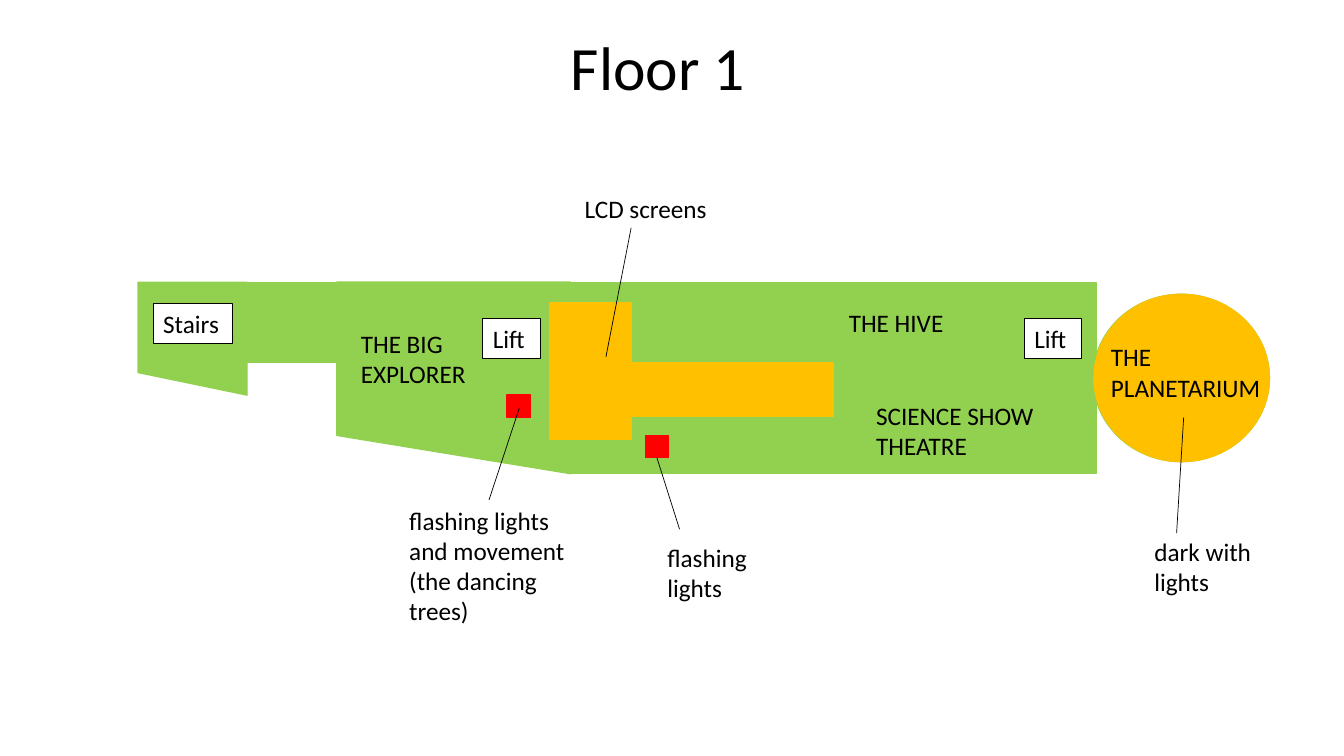
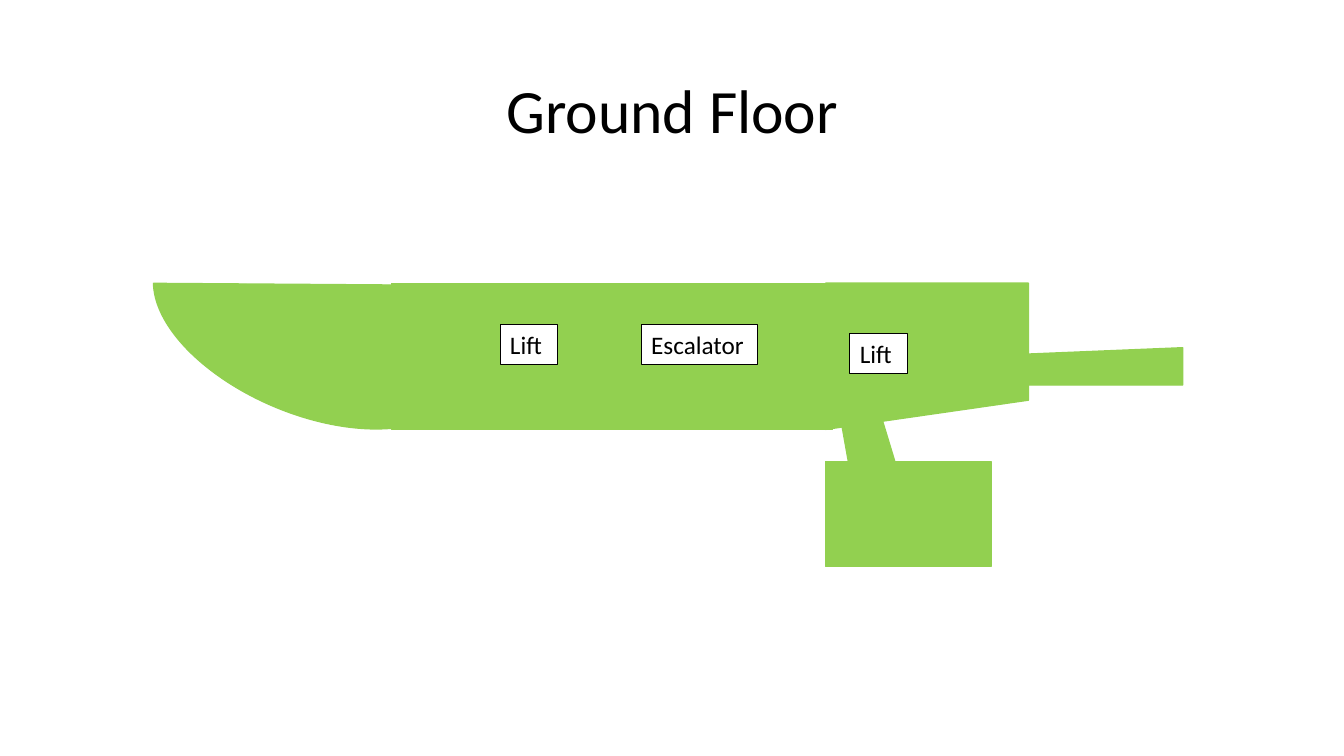
import pptx
import pptx.util
import pptx.dml.color
import pptx.enum.shapes
import pptx.enum.text
import pptx.oxml.ns
import lxml.etree

COLOURS = {
    "floor": "92D050",
    "exhibit": "FFC000",
    "alert": "FF0000",
    "paper": "FFFFFF",
    "ink": "000000",
}
FONT = "Calibri"
PX = 9144  # EMU per px, 100 px to the inch
SHAPES = pptx.enum.shapes.MSO_SHAPE
RECTANGLE = SHAPES.RECTANGLE
OVAL = SHAPES.OVAL
SLANTED = SHAPES.FLOWCHART_MANUAL_INPUT
qn = pptx.oxml.ns.qn


def px(*lengths):
    return [pptx.util.Emu(length * PX) for length in lengths]


def colour(name):
    return pptx.dml.color.RGBColor.from_string(COLOURS[name])


class FloorPlan:
    """Holds the deck, the shared style and the slide being drawn."""

    def __init__(self, width, height):
        self.deck = pptx.Presentation()
        self.deck.slide_width, self.deck.slide_height = px(width, height)
        self.slide = None

    def add_slide(self, title, left, top, width, height, spacing=1.0):
        layout = self.deck.slide_layouts[5]
        self.slide = self.deck.slides.add_slide(layout)
        box = self.slide.shapes.title
        box.left, box.top, box.width, box.height = px(left, top, width, height)
        self.fill_text(box, title, size=44)
        box.text_frame.vertical_anchor = pptx.enum.text.MSO_ANCHOR.MIDDLE
        para = box.text_frame.paragraphs[0]
        para.alignment = pptx.enum.text.PP_ALIGN.CENTER
        para.line_spacing = spacing

    def fill_text(self, box, text, size=18):
        """Fill a box with one paragraph for each line of text."""
        frame = box.text_frame
        frame.text = text
        frame.word_wrap = True
        for para in frame.paragraphs:
            para.alignment = pptx.enum.text.PP_ALIGN.LEFT
            for span in para.runs:
                span.font.name = FONT
                span.font.size = pptx.util.Pt(size)
                span.font.color.rgb = colour("ink")

    def area(self, kind, left, top, width, height, fill="floor",
             line=None, weight=1, rotation=0, flip=""):
        """Draw a filled shape; flip is any of the letters H and V."""
        shape = self.slide.shapes.add_shape(
            kind, *px(left, top, width, height))
        shape.shadow.inherit = False
        shape.fill.solid()
        shape.fill.fore_color.rgb = colour(fill)
        shape.line.color.rgb = colour(line or fill)
        shape.line.width = pptx.util.Pt(weight)
        shape.rotation = rotation
        for axis in flip:
            shape.element.spPr.find(qn("a:xfrm")).set("flip" + axis, "1")
        return shape

    def label(self, text, left, top, width, height):
        box = self.slide.shapes.add_textbox(*px(left, top, width, height))
        self.fill_text(box, text)

    def sign(self, text, left, top, width):
        """Draw a framed white label for a way between floors."""
        box = self.area(RECTANGLE, left, top, width, 40, "paper", "ink", 0.75)
        self.fill_text(box, text)
        box.text_frame.vertical_anchor = pptx.enum.text.MSO_ANCHOR.TOP

    def pointer(self, left, top, right, bottom):
        line = self.slide.shapes.add_connector(
            pptx.enum.shapes.MSO_CONNECTOR.STRAIGHT,
            *px(left, top, right, bottom))
        line.line.color.rgb = colour("ink")
        line.line.width = pptx.util.Pt(0.5)
        lxml.etree.SubElement(line.element.spPr, qn("a:effectLst"))
        return line


def draw_first_floor(plan):
    plan.add_slide("Floor 1", 555, 20, 195, 90)
    plan.area(OVAL, 1084, 292, 175, 166)
    plan.area(RECTANGLE, 565, 280, 522, 190)
    plan.area(SLANTED, 334, 280, 232, 190, flip="V")
    plan.area(SLANTED, 137, 280, 108, 112, flip="V")
    plan.area(RECTANGLE, 246, 280, 88, 80)

    plan.area(RECTANGLE, 503, 392, 23, 22, "alert")
    flashing = plan.area(RECTANGLE, 640, 432, 23, 22, "alert")
    plan.area(RECTANGLE, 545, 300, 81, 136, "exhibit")
    plan.area(RECTANGLE, 626, 360, 201, 53, "exhibit")
    plan.area(OVAL, 1085, 292, 174, 166, "exhibit")

    plan.pointer(626, 226, 601, 354)
    plan.pointer(652, 454, 674, 525).begin_connect(flashing, 2)
    plan.pointer(515, 405, 485, 496)
    plan.pointer(1174, 414, 1167, 529)

    for label in (
        ("flashing lights and movement\n(the dancing trees)",
         396, 496, 179, 192),
        ("flashing lights", 652, 533, 115, 162),
        ("LCD screens", 570, 187, 153, 131),
        ("dark with lights", 1135, 527, 162, 131),
        ("THE HIVE", 832, 300, 153, 40),
        ("THE PLANETARIUM", 1092, 334, 174, 71),
        ("SCIENCE SHOW THEATRE", 859, 392, 188, 71),
        ("THE BIG EXPLORER", 348, 321, 188, 71),
    ):
        plan.label(*label)
    plan.sign("Lift", 479, 316, 57)
    plan.sign("Stairs", 152, 301, 79)
    plan.sign("Lift", 1016, 316, 57)


def draw_ground_floor(plan):
    plan.add_slide("Ground Floor", 92, 40, 1150, 145, spacing=0.9)
    plan.area(RECTANGLE, 388, 281, 438, 145)
    plan.area(SLANTED, 819, 281, 201, 145, flip="HV")
    plan.area(SLANTED, 993, 345, 180, 37)
    plan.area(SLANTED, 822, 413, 79, 47, rotation=79.9)
    plan.area(RECTANGLE, 819, 458, 164, 104)
    bow = plan.area(SHAPES.CHORD, 220, 161, 173, 326, rotation=292.6)
    bow.adjustments[0] = 27
    bow.adjustments[1] = 157.78
    plan.sign("Lift", 496, 322, 57)
    plan.sign("Escalator", 636, 322, 115)
    plan.sign("Lift", 843, 331, 57)


def main():
    plan = FloorPlan(1333, 750)
    draw_first_floor(plan)
    draw_ground_floor(plan)
    plan.deck.save("out.pptx")


if __name__ == "__main__":
    main()
